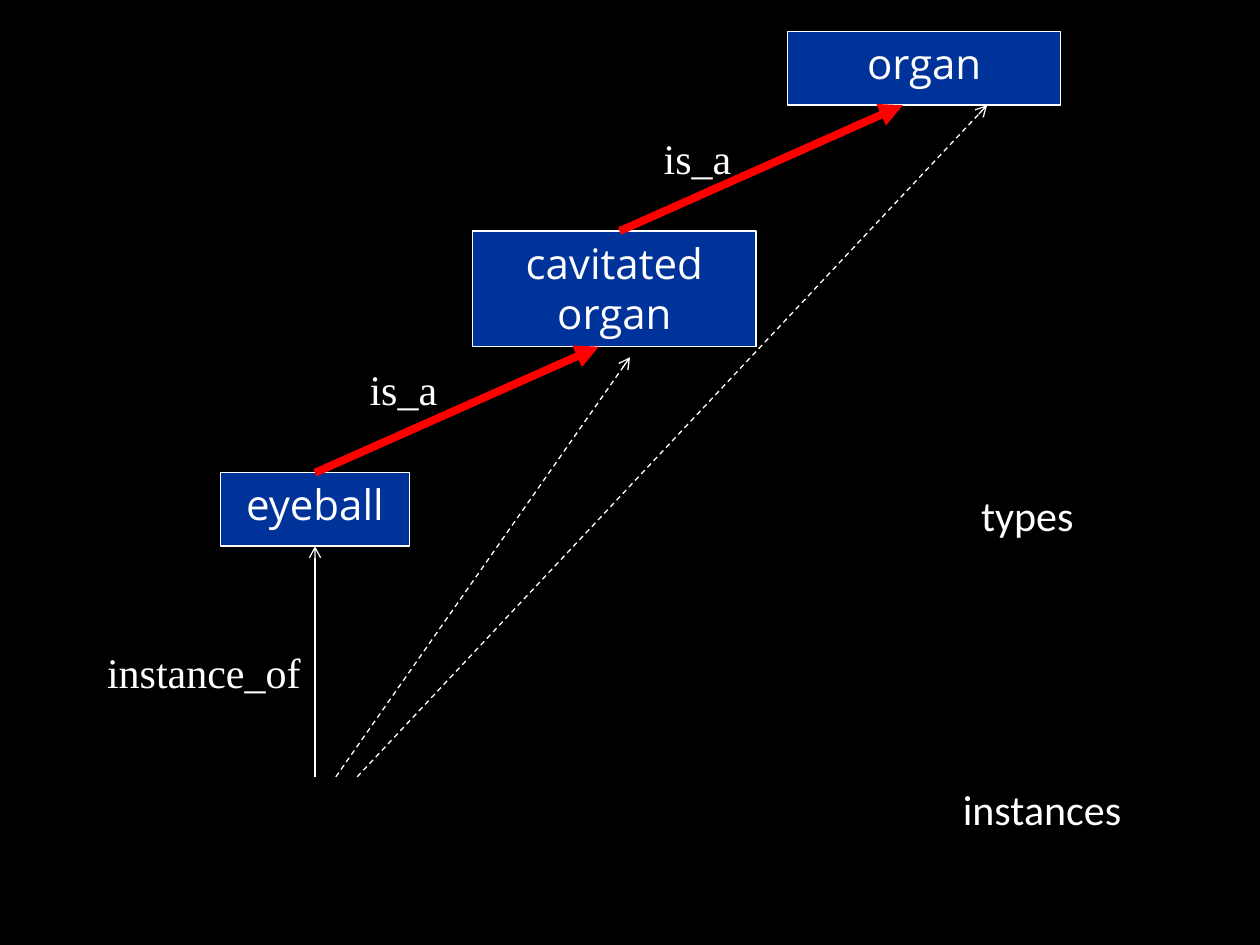
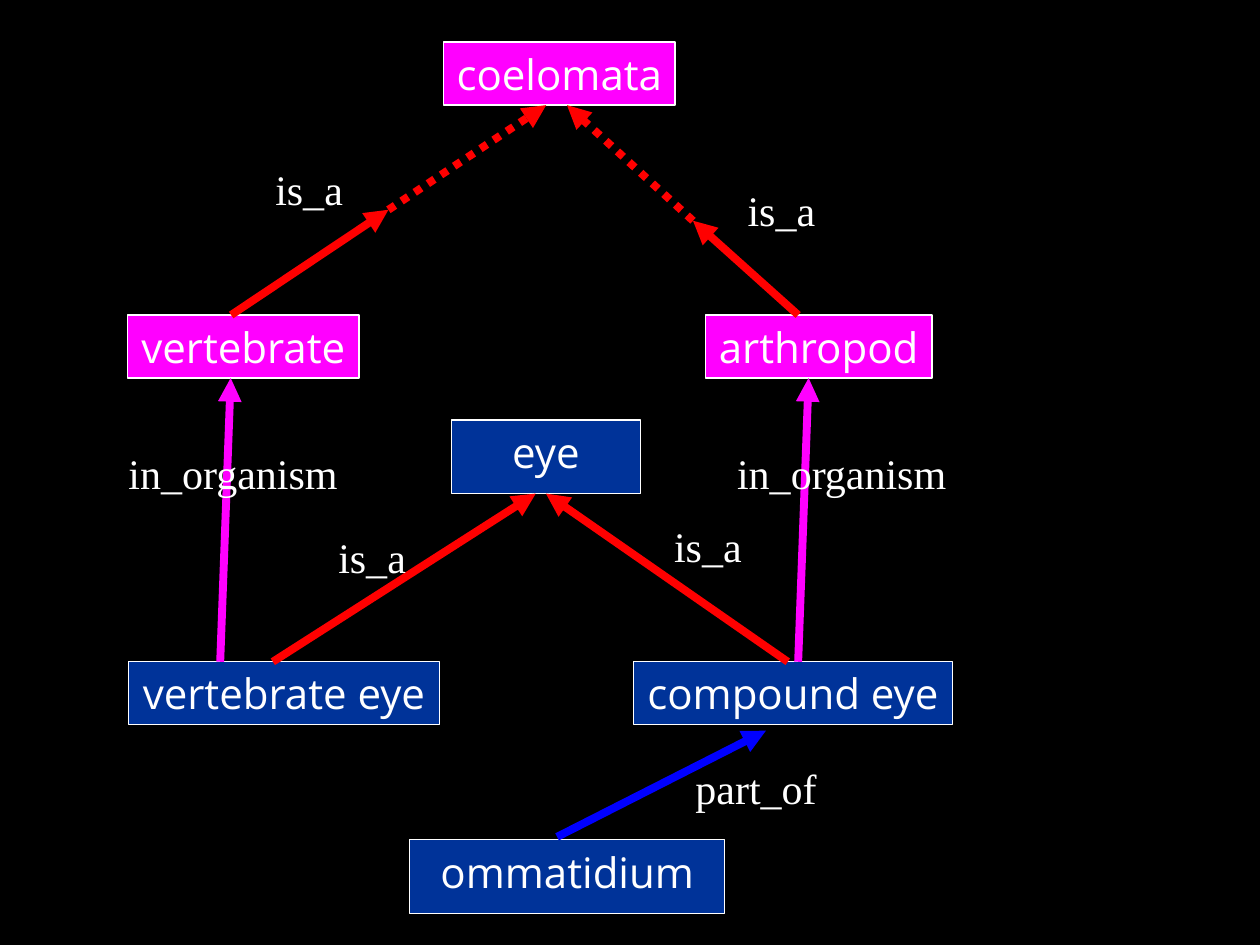
from pptx import Presentation
from pptx.dml.color import RGBColor
from pptx.enum.dml import MSO_LINE
from pptx.enum.shapes import MSO_CONNECTOR, MSO_SHAPE
from pptx.enum.text import MSO_ANCHOR, MSO_AUTO_SIZE, PP_ALIGN
from pptx.oxml.ns import qn
from pptx.util import Cm, Pt
from lxml import etree

BLACK = RGBColor(0x00, 0x00, 0x00)
WHITE = RGBColor(0xFF, 0xFF, 0xFF)
NAVY = RGBColor(0x00, 0x33, 0x99)
BLUE = RGBColor(0x00, 0x00, 0xFF)
RED = RGBColor(0xFF, 0x00, 0x00)
MAGENTA = RGBColor(0xFF, 0x00, 0xFF)

RECT = MSO_SHAPE.RECTANGLE
STRAIGHT = MSO_CONNECTOR.STRAIGHT
DASH, DOT = MSO_LINE.DASH, MSO_LINE.ROUND_DOT
LEFT, CENTER = PP_ALIGN.LEFT, PP_ALIGN.CENTER
TOP = MSO_ANCHOR.TOP
FIT, FIXED = MSO_AUTO_SIZE.SHAPE_TO_FIT_TEXT, MSO_AUTO_SIZE.NONE

NODE_FONT, LINK_FONT, LEVEL_FONT = "Open Sans", "Times New Roman", "Calibri"
TALL, LOW = 1.48, 1.27  # node heights in cm
IS_A_WIDTH = 1.9
TOP_SIDE, BOTTOM_SIDE = 0, 2


def place(box, x, y):
    """Turn an offset in cm within a region into slide lengths."""
    return Cm(box[0] + x), Cm(box[1] + y)


def write(sp, text, font=LINK_FONT, align=LEFT, fit=True):
    tf = sp.text_frame
    tf.word_wrap = not fit
    tf.auto_size = FIT if fit else FIXED
    tf.vertical_anchor = TOP
    p = tf.paragraphs[0]
    p.alignment = align
    r = p.add_run()
    r.text = text
    r.font.name = font
    r.font.size = Pt(24)
    r.font.color.rgb = WHITE


def node(slide, box, text, x, y, width, height=TALL, fill=NAVY):
    sp = slide.shapes.add_shape(RECT, *place(box, x, y), Cm(width), Cm(height))
    sp.shadow.inherit = False
    sp.fill.solid()
    sp.fill.fore_color.rgb = fill
    sp.line.color.rgb = WHITE
    sp.line.width = Pt(0.75)
    write(sp, text, font=NODE_FONT, align=CENTER, fit=height == LOW)
    return sp


def label(slide, box, text, x, y, width=IS_A_WIDTH, font=LINK_FONT):
    sp = slide.shapes.add_textbox(*place(box, x, y), Cm(width), Cm(LOW))
    write(sp, text, font=font)


def arrow(slide, box, start, end, color=RED, width=4.5, dash=None,
          head="triangle", begin_at=None, end_at=None):
    """Draw an arrow; begin_at and end_at are (shape, side) joins."""
    cxn = slide.shapes.add_connector(
        STRAIGHT, *place(box, *start), *place(box, *end))
    cxn.line.color.rgb = color
    cxn.line.width = Pt(width)
    if dash:
        cxn.line.dash_style = dash
    sp_pr = cxn.element.spPr
    etree.SubElement(sp_pr.find(qn("a:ln")), qn("a:tailEnd"), type=head)
    etree.SubElement(sp_pr, qn("a:effectLst"))
    if begin_at:
        cxn.begin_connect(*begin_at)
    if end_at:
        cxn.end_connect(*end_at)


def type_hierarchy(slide, box):
    """Draw the chain of types and return its lowest node."""
    eyeball = node(slide, box, "eyeball", 0, 8.89, 3.8)
    node(slide, box, "cavitated organ", 5.08, 4.02, 5.71, 2.33)
    node(slide, box, "organ", 11.43, 0, 5.5)
    arrow(slide, box, (1.9, 8.89), (7.62, 6.35), begin_at=(eyeball, TOP_SIDE))
    arrow(slide, box, (8.04, 4.02), (13.75, 1.48))
    label(slide, box, "is_a", 2.75, 6.56)
    label(slide, box, "is_a", 8.68, 1.9)
    label(slide, box, "types", 15.08, 9.1, 2.64, LEVEL_FONT)
    return eyeball


def instance_links(slide, box, eyeball):
    """Draw the arrows that rise from the instance level to the types."""
    thin = {"color": WHITE, "width": 0.75, "head": "arrow"}
    arrow(slide, box, (4.44, 2.75), (4.44, -1.9),
          end_at=(eyeball, BOTTOM_SIDE), **thin)
    arrow(slide, box, (4.86, 2.75), (10.79, -5.71), dash=DASH, **thin)
    arrow(slide, box, (5.29, 2.75), (17.99, -10.79), dash=DASH, **thin)
    label(slide, box, "instance_of", 0, 0, 4.45)
    label(slide, box, "instances", 17.25, 2.75, 4.24, LEVEL_FONT)


def organism_tree(slide, box):
    for text, x, y, width in (("coelomata", 6.37, 0, 4.67),
                              ("vertebrate", 0, 5.5, 4.67),
                              ("arthropod", 11.65, 5.5, 4.57)):
        node(slide, box, text, x, y, width, LOW, MAGENTA)
    for start, middle, end in (((2.09, 5.5), (5.26, 3.38), (8.44, 1.27)),
                               ((13.52, 5.5), (11.4, 3.6), (8.86, 1.27))):
        arrow(slide, box, start, middle)
        arrow(slide, box, middle, end, dash=DOT)
    label(slide, box, "is_a", 2.73, 2.33)
    label(slide, box, "is_a", 12.25, 2.75)


def eye_tree(slide, box):
    eye = node(slide, box, "eye", 6.51, 0, 3.81)
    node(slide, box, "vertebrate eye", 0, 4.87, 6.27, LOW)
    node(slide, box, "compound eye", 10.18, 4.87, 6.43, LOW)
    node(slide, box, "ommatidium", 5.67, 8.46, 6.35)
    arrow(slide, box, (2.91, 4.87), (8.21, TALL))
    arrow(slide, box, (13.29, 4.87), (8.42, TALL), end_at=(eye, BOTTOM_SIDE))
    arrow(slide, box, (8.64, 8.4), (12.85, 6.26), color=BLUE)
    label(slide, box, "is_a", 3.98, 2.11)
    label(slide, box, "is_a", 10.75, 1.9)
    label(slide, box, "part_of", 11.18, 6.77, 3)


def organism_links(slide, box):
    """Draw the arrows from each kind of eye to its organism."""
    for label_x, arrow_x in ((0, 2.1), (12.27, 13.75)):
        arrow(slide, box, (arrow_x, 5.72), (arrow_x + 0.21, 0), color=MAGENTA)
        label(slide, box, "in_organism", label_x, 1.27, 4.75)


def main():
    prs = Presentation()
    prs.slide_width, prs.slide_height = Cm(25.4), Cm(19.05)
    background = prs.slide_master.background.fill
    background.solid()
    background.fore_color.rgb = BLACK
    blank = prs.slide_layouts[6]

    slide = prs.slides.add_slide(blank)
    eyeball = type_hierarchy(slide, (4.45, 0.64))
    instance_links(slide, (1.91, 12.91), eyeball)

    slide = prs.slides.add_slide(blank)
    organism_tree(slide, (2.57, 0.85))
    eye_tree(slide, (2.59, 8.47))
    organism_links(slide, (2.34, 7.62))

    prs.save("out.pptx")


if __name__ == "__main__":
    main()
